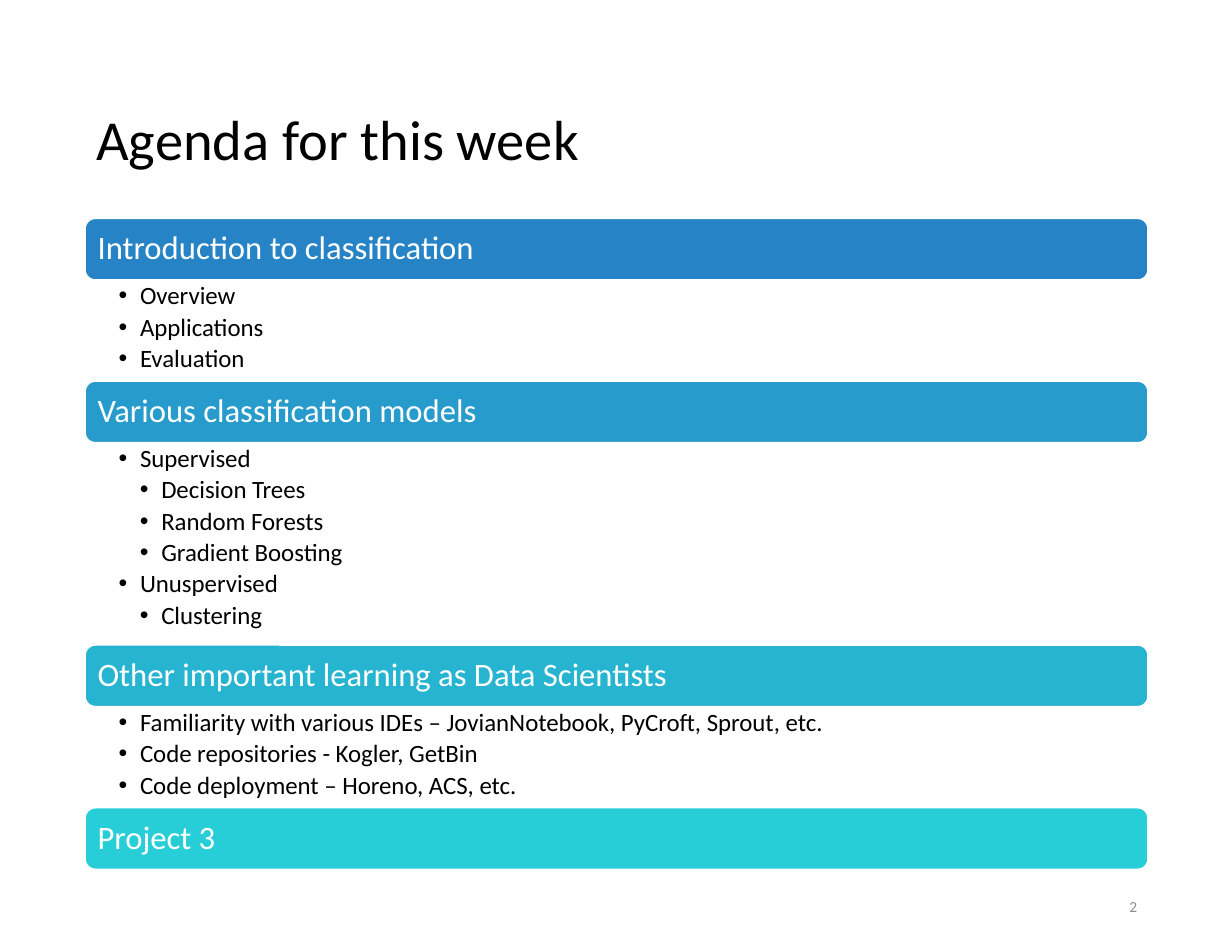
from dataclasses import dataclass

from lxml.etree import SubElement
from pptx import Presentation
from pptx.dml.color import RGBColor
from pptx.enum.shapes import MSO_SHAPE as Preset
from pptx.enum.text import MSO_ANCHOR as Anchor, PP_ALIGN as Align
from pptx.oxml.ns import qn
from pptx.util import Inches, Pt


@dataclass(frozen=True)
class Theme:
    font: str = "Calibri"
    ink: str = "000000"
    paper: str = "FFFFFF"
    muted: str = "8C8C8C"
    bands: tuple = ("2683C6", "269BCC", "27B4D1", "27CED7")
    title_size: float = 36.3
    heading_size: float = 21
    topic_size: float = 16
    number_size: float = 9.9
    line_spacing: float = 0.9
    topic_gap: float = 2.9


class AgendaSlide:
    COLUMNS, ROWS = 110, 85
    INDENT = 1.9

    def __init__(self, deck, theme):
        self.theme = theme
        self.column = deck.slide_width / self.COLUMNS
        self.row = deck.slide_height / self.ROWS
        self.slide = deck.slides.add_slide(deck.slide_layouts[5])

    def across(self, columns):
        return round(columns * self.column)

    def down(self, rows):
        return round(rows * self.row)

    def box(self, left, top, width, height):
        return self.across(left), self.down(top), self.across(width), self.down(height)

    def frame(self, shape, anchor, left=1, top=0.5, right=1):
        frame = shape.text_frame
        frame.word_wrap = True
        frame.vertical_anchor = anchor
        frame.margin_left, frame.margin_right = self.across(left), self.across(right)
        frame.margin_top = frame.margin_bottom = self.down(top)
        return frame

    def add_words(self, paragraph, words, size, color, align=Align.LEFT):
        paragraph.alignment = align
        paragraph.line_spacing = self.theme.line_spacing
        run = paragraph.add_run()
        run.text = words
        run.font.name = self.theme.font
        run.font.size = Pt(size)
        run.font.color.rgb = RGBColor.from_string(color)

    def title(self, words, *place):
        heading = self.slide.shapes.title
        heading.left, heading.top, heading.width, heading.height = self.box(*place)
        frame = self.frame(heading, Anchor.MIDDLE)
        self.add_words(frame.paragraphs[0], words, self.theme.title_size, self.theme.ink)

    def band(self, words, color, *place):
        bar = self.slide.shapes.add_shape(Preset.ROUNDED_RECTANGLE, *self.box(*place))
        bar.shadow.inherit = False
        bar.fill.solid()
        bar.fill.fore_color.rgb = RGBColor.from_string(color)
        bar.line.color.rgb = RGBColor.from_string(self.theme.paper)
        bar.line.width = Pt(1)
        frame = self.frame(bar, Anchor.MIDDLE, left=0.85)
        self.add_words(frame.paragraphs[0], words, self.theme.heading_size, self.theme.paper)

    def topics(self, entries, *place):
        listing = self.slide.shapes.add_textbox(*self.box(*place))
        frame = self.frame(listing, Anchor.TOP, left=3, top=0.3, right=1.6)
        for index, (level, words) in enumerate(entries):
            paragraph = frame.add_paragraph() if index else frame.paragraphs[0]
            paragraph.level = level
            paragraph.space_after = Pt(self.theme.topic_gap)
            self.add_words(paragraph, words, self.theme.topic_size, self.theme.ink)
            self.bullet(paragraph, level)

    def bullet(self, paragraph, level):
        properties = paragraph._p.get_or_add_pPr()
        properties.set("marL", str(self.across(self.INDENT * level)))
        properties.set("indent", str(-self.across(self.INDENT)))
        SubElement(properties, qn("a:buFont"), typeface="Arial")
        SubElement(properties, qn("a:buChar"), char="•")

    def page_number(self, words, *place):
        corner = self.slide.shapes.add_textbox(*self.box(*place))
        frame = self.frame(corner, Anchor.MIDDLE)
        self.add_words(frame.paragraphs[0], words, self.theme.number_size,
                       self.theme.muted, Align.RIGHT)


AGENDA = [
    ("Introduction to classification",
     [(1, "Overview"), (1, "Applications"), (1, "Evaluation")]),
    ("Various classification models",
     [(1, "Supervised"), (2, "Decision Trees"), (2, "Random Forests"),
      (2, "Gradient Boosting"), (1, "Unuspervised"), (2, "Clustering")]),
    ("Other important learning as Data Scientists",
     [(1, "Familiarity with various IDEs – JovianNotebook, PyCroft, Sprout, etc."),
      (1, "Code repositories - Kogler, GetBin"),
      (1, "Code deployment – Horeno, ACS, etc.")]),
    ("Project 3", []),
]


def main():
    deck = Presentation()
    deck.slide_width, deck.slide_height = Inches(11), Inches(8.5)
    theme = Theme()
    agenda = AgendaSlide(deck, theme)
    left, width = 7.6, 94.9
    band_height, topic_height = 5.5, 3.01

    agenda.title("Agenda for this week", left, 4.5, width, 16.4)
    top = 19.5
    for (heading, entries), color in zip(AGENDA, theme.bands):
        agenda.band(heading, color, left, top, width, band_height)
        top += band_height
        if entries:
            height = topic_height * len(entries)
            agenda.topics(entries, left, top, width, height)
            top += height
    agenda.page_number("2", 77.7, 78.8, 24.8, 4.5)
    deck.save("out.pptx")


if __name__ == "__main__":
    main()
